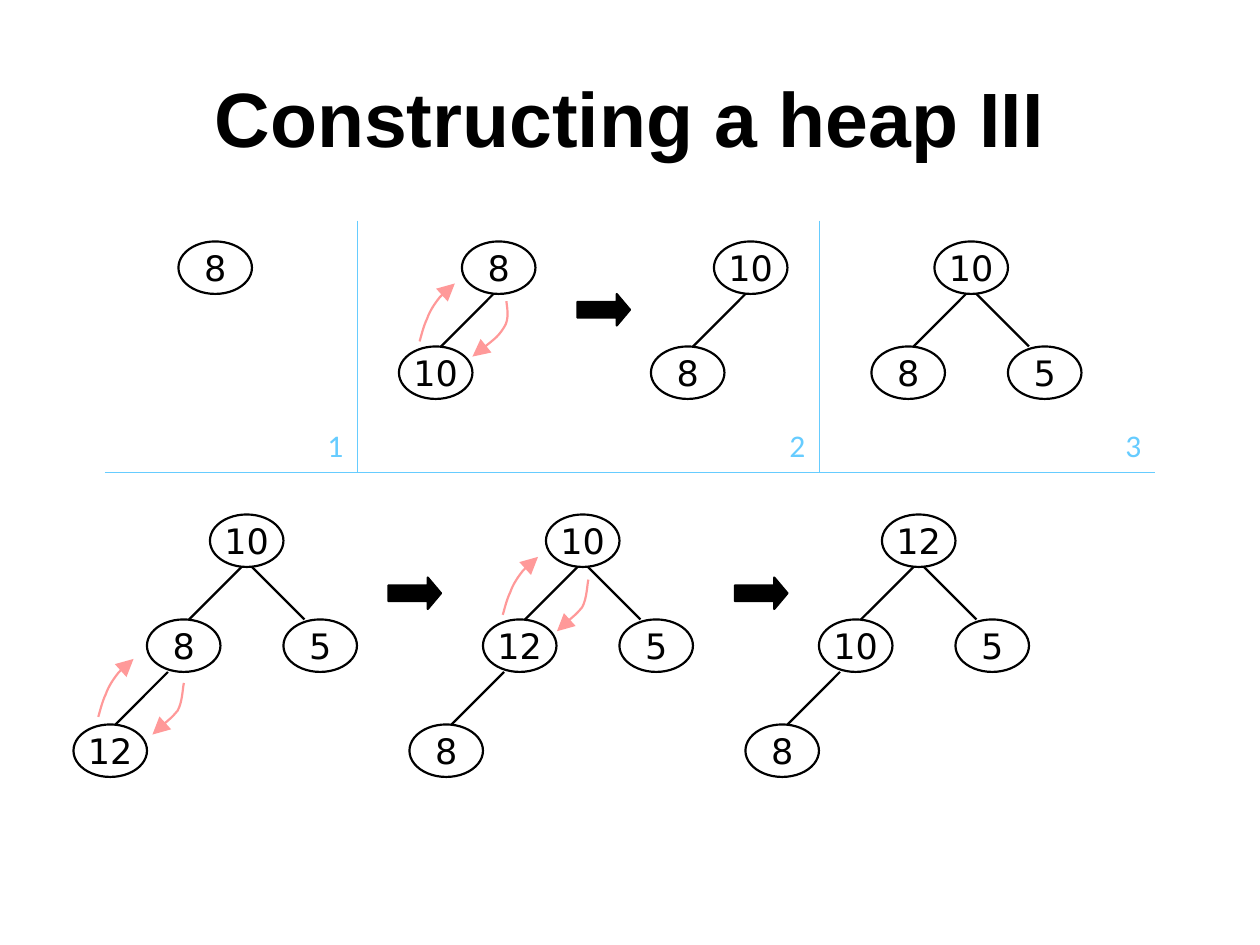
import pptx
import pptx.util
import pptx.dml.color
import pptx.enum.shapes
import pptx.enum.text
import pptx.oxml
import pptx.oxml.ns
import lxml.etree

Inches = pptx.util.Inches
Pt = pptx.util.Pt
Kind = pptx.enum.shapes.MSO_SHAPE
Align = pptx.enum.text.PP_ALIGN
Anchor = pptx.enum.text.MSO_ANCHOR
qn = pptx.oxml.ns.qn

COLORS = {"ink": "000000", "rule": "66CCFF", "swap": "FF9999"}
GRID = 1 / 12
NODES = [(0, 0), (-6, 10), (7, 10), (-13, 20)]
EDGES = [None, (3, 5, -2, 10), (4, 5, 9, 10), (-4, 15, -9, 20)]
TREES = [
    (17, 23, ["8"]),
    (44, 23, ["8", "10"]),
    (68, 23, ["10", "8"]),
    (89, 23, ["10", "8", "5"]),
    (20, 49, ["10", "8", "5", "12"]),
    (52, 49, ["10", "12", "5", "8"]),
    (84, 49, ["12", "10", "5", "8"]),
]
RULES = [(10, 45, 110, 45), (34, 21, 34, 45), (78, 21, 78, 45)]
STEPS = [(55, 28), (37, 55), (70, 55)]
LABELS = [("1", 30), ("2", 74), ("3", 106)]
RISE = [(0, 0), (0.01, -0.03), (0.03, -0.12), (0.06, -0.18),
        (0.08, -0.24), (0.12, -0.3), (0.16, -0.35),
        (0.2, -0.39), (0.26, -0.44), (0.28, -0.46)]
FALL = [(0, 0), (-0.01, 0.03), (-0.01, 0.15), (-0.05, 0.22),
        (-0.1, 0.28), (-0.21, 0.37), (-0.25, 0.41)]
BEND = [(0, 0), (0, 0.03), (0.03, 0.14), (-0.02, 0.21),
        (-0.07, 0.29), (-0.22, 0.4), (-0.27, 0.44)]
SWAPS = [
    (3.33, 2.71, RISE), (4.02, 2.39, BEND),
    (0.78, 5.69, RISE), (1.46, 5.42, FALL),
    (3.99, 4.88, RISE), (4.67, 4.6, FALL),
]


def unit(num):
    return Inches(num * GRID)


def color(name):
    return pptx.dml.color.RGBColor.from_string(COLORS[name])


def stroke(shape, name, width):
    shape.line.color.rgb = color(name)
    shape.line.width = Pt(width)


def write(shape, text, font, size, name, align, bold=False):
    para = shape.text_frame.paragraphs[0]
    para.alignment = align
    run = para.add_run()
    run.text = text
    run.font.name = font
    run.font.size = Pt(size)
    run.font.bold = bold
    run.font.color.rgb = color(name)
    return para


def add_title(slide, text):
    box = slide.shapes.add_textbox(Inches(0.5), Inches(0.3), Inches(9), Inches(1.25))
    box.text_frame.word_wrap = True
    box.text_frame.vertical_anchor = Anchor.MIDDLE
    write(box, text, "Arial", 44, "ink", Align.CENTER, True)


def add_line(slide, ends, name, width):
    line = slide.shapes.add_connector(
        pptx.enum.shapes.MSO_CONNECTOR.STRAIGHT, *map(unit, ends))
    stroke(line, name, width)
    lxml.etree.SubElement(line._element.spPr, qn("a:effectLst"))


def add_node(slide, left, top, text):
    node = slide.shapes.add_shape(Kind.OVAL, unit(left), unit(top), unit(7), unit(5))
    node.shadow.inherit = False
    node.fill.background()
    stroke(node, "ink", 1.25)
    node.text_frame.word_wrap = False
    node.text_frame.vertical_anchor = Anchor.MIDDLE
    write(node, text, "DejaVu Sans", 20, "ink", Align.CENTER)


def add_tree(slide, left, top, keys):
    for key, (across, down), edge in zip(keys, NODES, EDGES):
        add_node(slide, left + across, top + down, key)
        if edge:
            x1, y1, x2, y2 = edge
            ends = (left + x1, top + y1, left + x2, top + y2)
            add_line(slide, ends, "ink", 1.25)


def add_step(slide, left, top):
    step = slide.shapes.add_shape(
        Kind.RIGHT_ARROW, unit(left), unit(top), unit(5), unit(3))
    step.adjustments[1] = 0.42
    step.shadow.inherit = False
    step.fill.solid()
    step.fill.fore_color.rgb = color("ink")
    stroke(step, "ink", 1.25)


def add_swap(slide, left, top, points):
    spots = [(Inches(left + x), Inches(top + y)) for x, y in points]
    pen = slide.shapes.build_freeform(*spots[0], scale=1.0)
    pen.add_line_segments(spots[1:], close=False)
    curve = pen.convert_to_shape()
    curve.shadow.inherit = False
    curve.fill.background()
    stroke(curve, "swap", 1.25)
    legs = list(curve._element.iter(qn("a:lnTo")))
    for first in range(0, len(legs), 3):
        bend = lxml.etree.Element(qn("a:cubicBezTo"))
        legs[first].addprevious(bend)
        for leg in legs[first:first + 3]:
            bend.append(leg[0])
            leg.getparent().remove(leg)
    head = lxml.etree.SubElement(curve.line._get_or_add_ln(), qn("a:tailEnd"))
    for key, value in (("type", "triangle"), ("w", "lg"), ("len", "lg")):
        head.set(key, value)


def add_label(slide, text, left):
    box = slide.shapes.add_textbox(unit(left), unit(40), unit(5), Inches(0.4))
    box.text_frame.word_wrap = True
    para = write(box, text, "Calibri", 18, "rule", Align.LEFT)
    para.space_before = Pt(11.2)


def main():
    deck = pptx.Presentation()
    deck.slide_width = Inches(10)
    deck.slide_height = Inches(7.5)
    slide = deck.slides.add_slide(deck.slide_layouts[6])
    add_title(slide, "Constructing a heap III")
    for ends in RULES:
        add_line(slide, ends, "rule", 0.51)
    for tree in TREES:
        add_tree(slide, *tree)
    for step in STEPS:
        add_step(slide, *step)
    for swap in SWAPS:
        add_swap(slide, *swap)
    for label in LABELS:
        add_label(slide, *label)
    deck.save("out.pptx")


main()
